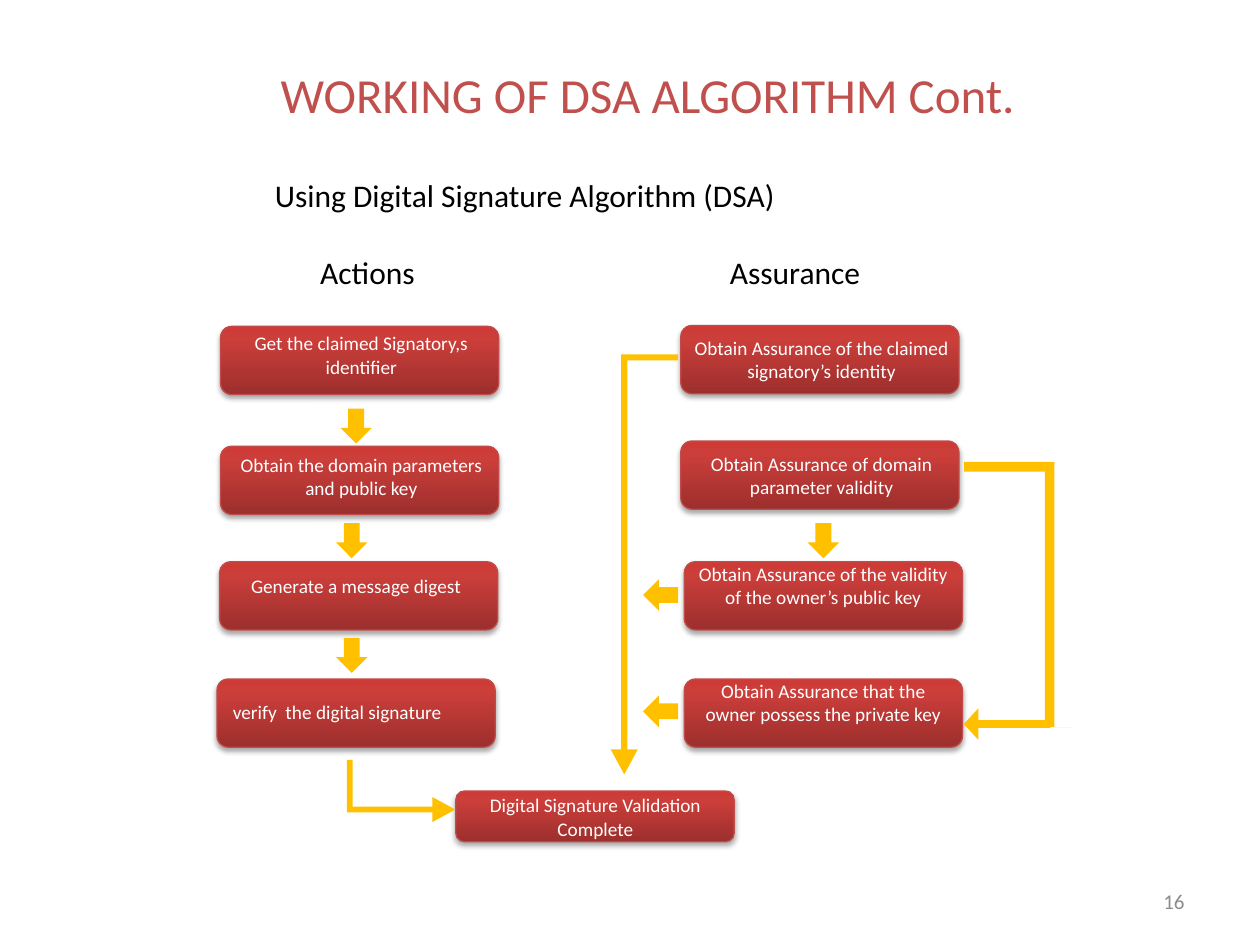
from lxml.etree import fromstring
from pptx import Presentation
from pptx.dml.color import RGBColor as Rgb
from pptx.enum.shapes import MSO_SHAPE as Kind
from pptx.enum.text import MSO_ANCHOR as Anchor, PP_ALIGN as Align
from pptx.util import Pt

RED, GOLD, BLACK, WHITE, GRAY = "C0504D", "FFC000", "000000", "FFFFFF", "8C8C8C"
EDGE = "BF4C48"
STOPS = [(0, "9C2F2D"), (80, "CB3E3A"), (100, "CE3B37")]
SPACE = 'xmlns:a="http://schemas.openxmlformats.org/drawingml/2006/main"'

BOX_W, BOX_H, LABEL_W = 159, 39, 161
# Box left and top, label left and top, alignment, words
STEPS = [
    (126, 186.5, 126, 186, Align.CENTER, "Get the claimed Signatory,s identifier"),
    (126, 255, 126, 255.5, Align.CENTER, "Obtain the domain parameters and public key"),
    (125.5, 321, 123, 324.5, Align.CENTER, "Generate a message digest"),
    (124, 388, 126, 396.5, Align.LEFT, "verify  the digital signature"),
    (389, 186, 389, 188.5, Align.CENTER,
     "Obtain Assurance of the claimed signatory’s identity"),
    (389, 252, 389, 255, Align.CENTER,
     "Obtain Assurance of domain parameter validity"),
    (391, 321, 390, 317.5, Align.CENTER,
     "Obtain Assurance of the validity of the owner’s public key"),
    (391, 388, 390, 384.5, Align.CENTER,
     "Obtain Assurance that the owner possess the private key"),
]
# Left, top, turn of the short arrows
ARROWS = [(194.5, 233.5, 0), (192, 299, 0), (192, 364.5, 0), (461.5, 299, 0),
          (368.5, 330, 90), (368.5, 396.5, 90)]


def color(code):
    return Rgb.from_string(code)


def glow():
    """Return the red gradient, dark at the bottom."""
    stops = "".join(f'<a:gs pos="{at * 1000}"><a:srgbClr val="{code}"/></a:gs>'
                    for at, code in STOPS)
    return fromstring(f'<a:gradFill {SPACE} rotWithShape="1"><a:gsLst>{stops}</a:gsLst>'
                      '<a:lin ang="16200000" scaled="0"/></a:gradFill>')


def shade():
    """Return the soft shadow below a box."""
    return fromstring(
        f'<a:effectLst {SPACE}><a:outerShdw blurRad="{Pt(3.1)}" dist="{Pt(1.8)}" '
        'dir="5400000" rotWithShape="0"><a:srgbClr val="000000">'
        '<a:alpha val="35000"/></a:srgbClr></a:outerShdw></a:effectLst>')


class Chart:
    """Style and current slide of the flow chart."""
    font = "Calibri"

    def __init__(self, slide):
        self.shapes = slide.shapes

    def text(self, x, y, w, h, words, size=11, ink=WHITE,
             align=Align.CENTER, anchor=Anchor.TOP):
        frame = self.shapes.add_textbox(Pt(x), Pt(y), Pt(w), Pt(h)).text_frame
        frame.word_wrap = True
        frame.vertical_anchor = anchor
        line = frame.paragraphs[0]
        line.alignment = align
        run = line.add_run()
        run.text = words
        run.font.name, run.font.size = self.font, Pt(size)
        run.font.color.rgb = color(ink)

    def box(self, x, y, w=BOX_W, h=BOX_H):
        shape = self.shapes.add_shape(Kind.ROUNDED_RECTANGLE, Pt(x), Pt(y), Pt(w), Pt(h))
        shape.line.color.rgb = color(EDGE)
        shape.line.width = Pt(0.75)
        props = shape._element.spPr
        props.insert(2, glow())
        props.append(shade())

    def arrow(self, x, y, w=18, h=20, turn=0, kind=Kind.DOWN_ARROW, bends=(), flip=False):
        shape = self.shapes.add_shape(kind, Pt(x), Pt(y), Pt(w), Pt(h))
        shape.shadow.inherit = False
        shape.fill.solid()
        shape.fill.fore_color.rgb = color(GOLD)
        shape.line.fill.background()
        shape.rotation = turn
        for i, bend in enumerate(bends):
            shape.adjustments[i] = bend
        if flip:
            shape._element.spPr.xfrm.set("flipH", "1")

    def elbow(self, x, y, w, h, turn, tip=0.37, flip=False):
        self.arrow(x, y, w, h, turn, Kind.BENT_UP_ARROW, (0.09, 0.2, tip), flip)


def main():
    deck = Presentation()
    deck.slide_width, deck.slide_height = Pt(720), Pt(540)
    chart = Chart(deck.slides.add_slide(deck.slide_layouts[6]))

    chart.text(46, 19.5, 648, 68.5, "WORKING OF DSA ALGORITHM Cont.", 28, RED,
               anchor=Anchor.MIDDLE)
    chart.text(150, 97, 498, 32, "Using Digital Signature Algorithm (DSA)", 18, BLACK,
               Align.LEFT)
    chart.text(137, 141, 146, 32, "Actions", 18, BLACK)
    chart.text(410, 141, 117, 32, "Assurance", 18, BLACK, Align.LEFT)
    chart.text(516, 500.5, 168, 29, "16", 12, GRAY, Align.RIGHT, Anchor.MIDDLE)

    for x, y, left, top, align, words in STEPS:
        chart.box(x, y)
        chart.text(left, top, LABEL_W, 34, words, align=align)
    chart.box(260.5, 452, h=29)
    chart.text(257.5, 450, 165.5, 34, "Digital Signature Validation Complete")

    for x, y, turn in ARROWS:
        chart.arrow(x, y, turn=turn)
    chart.elbow(349, 202.5, 38.5, 240, 180)
    chart.elbow(551, 264, 61, 151.5, 180, tip=0, flip=True)
    chart.arrow(566.5, 389, 18, 49.5, 90, bends=(0.25, 0.46))
    chart.elbow(211.5, 421, 35.5, 62, 90)

    deck.save("out.pptx")


if __name__ == "__main__":
    main()
